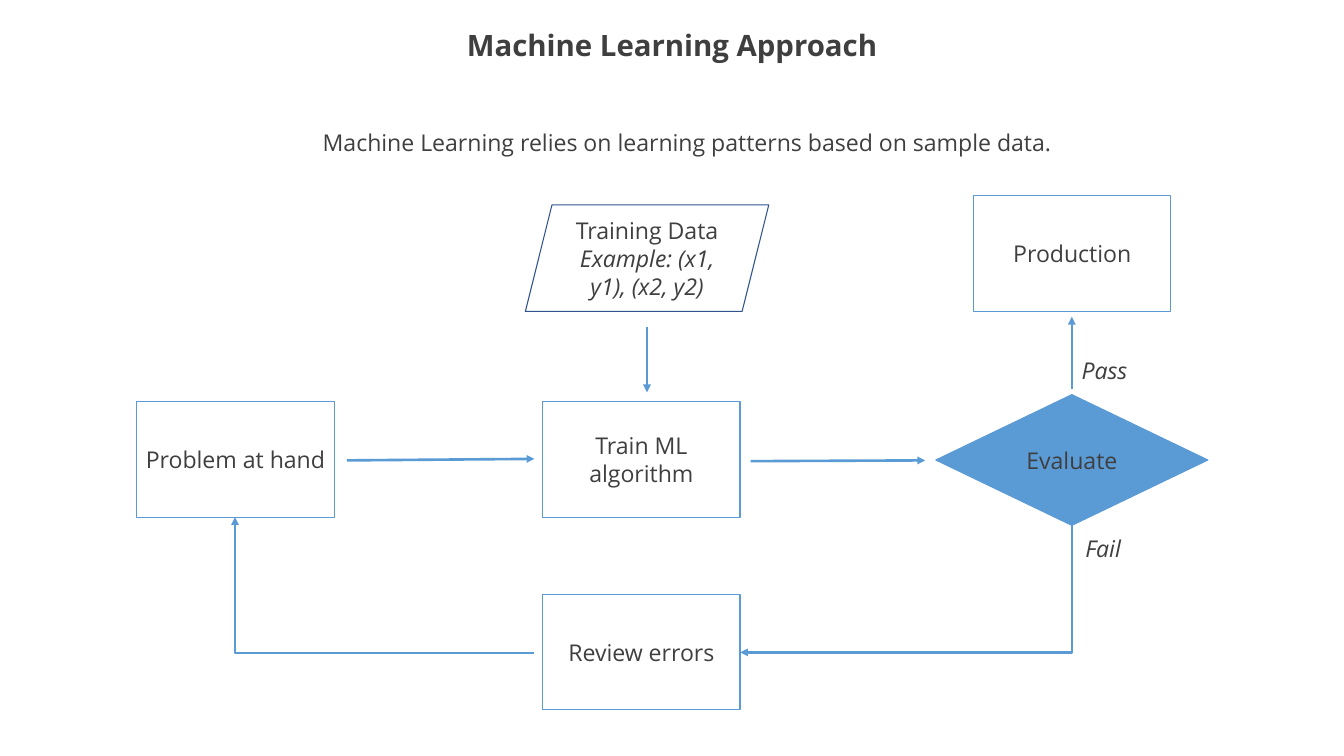
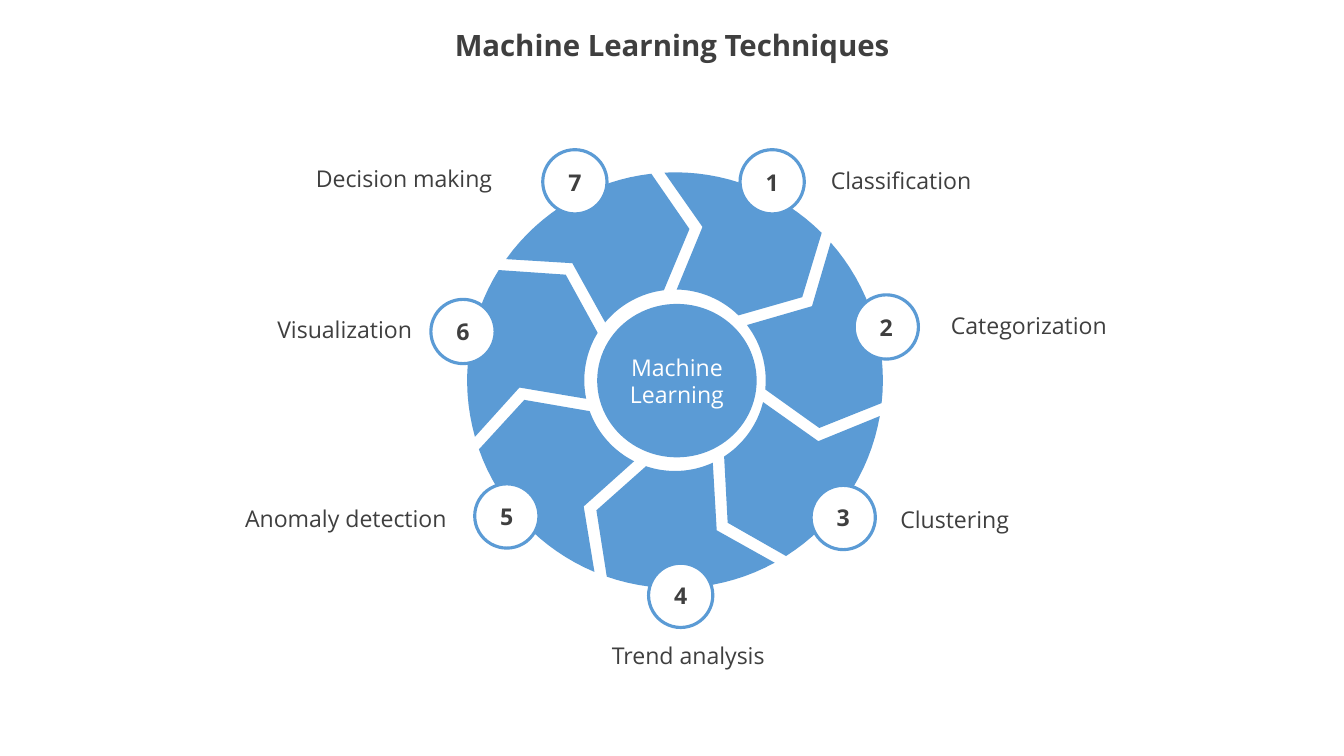
from math import cos, radians, sin

from lxml.etree import SubElement
from pptx import Presentation
from pptx.dml.color import RGBColor
from pptx.enum.shapes import MSO_CONNECTOR, MSO_SHAPE
from pptx.enum.text import MSO_ANCHOR, PP_ALIGN
from pptx.oxml.ns import qn
from pptx.util import Emu, Pt

PX = 9144  # EMU per px, 100 px to the inch
PAGE_WIDTH, PAGE_HEIGHT = 1778, 1000
FONT = "Open Sans"
BODY_SIZE = 22
COLORS = {
    "text": "3F3F3F",
    "blue": "5B9BD5",
    "navy": "31538F",
    "white": "FFFFFF",
}

BOX_SIZE = (261, 153)
BOXES = [
    ("Problem at hand", 181, 531),
    ("Production", 1288, 259),
    ("Review errors", 718, 786),
    ("Train ML algorithm", 718, 531),
]
STRAIGHT_ARROWS = [
    (459, 609, 707, 607),
    (993, 610, 1224, 609),
    (1418, 515, 1418, 419),
    (856, 432, 856, 519),
]

WHEEL_CENTER = (893, 503)
WHEEL_RADIUS, HUB_RADIUS = 275, 120
BLADE_COUNT = 7
ARC_STEPS = 16
BADGE_SIZE = 85
# label, its left, top and width, then left and top of its numbered badge
TECHNIQUES = [
    ("Classification", 1077, 215, 230, 979, 198),
    ("Categorization", 1240, 407, 242, 1130, 390),
    ("Clustering", 1178, 664, 170, 1073, 642),
    ("Trend analysis", 788, 843, 245, 858, 745),
    ("Anomaly detection", 302, 662, 311, 628, 640),
    ("Visualization", 352, 412, 208, 570, 396),
    ("Decision making", 403, 212, 263, 718, 198),
]


def rgb(name):
    return RGBColor.from_string(COLORS[name])


def px(*lengths):
    return [Emu(round(length * PX)) for length in lengths]


def write(shape, text, size=BODY_SIZE, color="text", bold=False, italic=False,
          align=PP_ALIGN.CENTER, anchor=MSO_ANCHOR.MIDDLE):
    frame = shape.text_frame
    frame.word_wrap = True
    frame.vertical_anchor = anchor
    frame.text = text
    for para in frame.paragraphs:
        para.alignment = align
        for span in para.runs:
            span.font.name = FONT
            span.font.size = Pt(size)
            span.font.bold = bold
            span.font.italic = italic
            span.font.color.rgb = rgb(color)


def paint(shape, fill=None, line=None, line_width=1):
    shape.shadow.inherit = False
    if fill:
        shape.fill.solid()
        shape.fill.fore_color.rgb = rgb(fill)
    else:
        shape.fill.background()
    if line:
        shape.line.color.rgb = rgb(line)
        shape.line.width = Pt(line_width)
    else:
        shape.line.fill.background()


def add_figure(page, kind, left, top, width, height, text, fill=None, line=None,
               line_width=1, **text_style):
    """Add a preset shape with centred text."""
    shape = page.shapes.add_shape(kind, *px(left, top, width, height))
    paint(shape, fill, line, line_width)
    write(shape, text, **text_style)
    return shape


def add_label(page, text, left, top, width, **text_style):
    box = page.shapes.add_textbox(*px(left, top, width, 47))
    write(box, text, anchor=MSO_ANCHOR.TOP, **text_style)


def add_arrow(page, begin_x, begin_y, end_x, end_y, bent=False, head="tailEnd"):
    """Add an arrow; a bent one runs level first, then upright."""
    kind = MSO_CONNECTOR.ELBOW if bent else MSO_CONNECTOR.STRAIGHT
    arrow = page.shapes.add_connector(kind, *px(begin_x, begin_y, end_x, end_y))
    arrow.line.color.rgb = rgb("blue")
    arrow.line.width = Pt(2.5)
    properties = arrow._element.spPr
    if bent:
        properties.find(qn("a:prstGeom")).set("prst", "bentConnector2")
    SubElement(properties.find(qn("a:ln")), qn(f"a:{head}"), type="triangle")
    SubElement(properties, qn("a:effectLst"))


def wheel_point(radius, degrees):
    """Return a point around the wheel's centre, in EMU."""
    center_x, center_y = WHEEL_CENTER
    angle = radians(degrees)
    return px(center_x + radius * cos(angle), center_y + radius * sin(angle))


def wheel_arc(radius, start, end):
    step = (end - start) / ARC_STEPS
    return [wheel_point(radius, start + step * i) for i in range(ARC_STEPS + 1)]


def add_blade(page, turn):
    points = [
        *wheel_arc(HUB_RADIUS, turn - 37.5, turn + 5.8),
        wheel_point(201, turn + 18.3),
        *wheel_arc(WHEEL_RADIUS, turn + 6.3, turn - 41.5),
        wheel_point(206, turn - 28.4),
    ]
    builder = page.shapes.build_freeform(*points[0], scale=1.0)
    builder.add_line_segments(points[1:], close=True)
    paint(builder.convert_to_shape(), fill="blue")


def add_page(deck, title):
    page = deck.slides.add_slide(deck.slide_layouts[6])
    box = page.shapes.add_textbox(*px(0, 25, PAGE_WIDTH, 75))
    write(box, title, size=28, bold=True)
    box.text_frame.paragraphs[0].line_spacing = 0.9
    return page


def add_approach_page(deck):
    page = add_page(deck, "Machine Learning Approach")
    for text, left, top in BOXES:
        add_figure(page, MSO_SHAPE.RECTANGLE, left, top, *BOX_SIZE, text,
                   fill="white", line="blue")
    add_figure(page, MSO_SHAPE.FLOWCHART_DECISION, 1238, 522, 360, 173, "Evaluate",
               fill="blue", line="blue")
    training = add_figure(page, MSO_SHAPE.PARALLELOGRAM, 695, 271, 322, 141,
                          "Training Data\nExample: (x1, y1), (x2, y2)", line="navy")
    training.text_frame.paragraphs[1].runs[0].font.italic = True

    for ends in STRAIGHT_ARROWS:
        add_arrow(page, *ends)
    add_arrow(page, 707, 864, 311, 684, bent=True)
    add_arrow(page, 979, 863, 1418, 695, bent=True, head="headEnd")

    add_label(page, "Pass", 1421, 467, 123, italic=True, align=PP_ALIGN.LEFT)
    add_label(page, "Fail", 1426, 702, 123, italic=True, align=PP_ALIGN.LEFT)
    add_label(page, "Machine Learning relies on learning patterns based on sample data.",
              417, 165, 1132, align=PP_ALIGN.LEFT)


def add_techniques_page(deck):
    page = add_page(deck, "Machine Learning Techniques")
    for blade in range(BLADE_COUNT):
        add_blade(page, blade * 360 / BLADE_COUNT)
    add_figure(page, MSO_SHAPE.OVAL, 790, 402, 211, 203, "Machine Learning",
               fill="blue", color="white")
    for number, technique in enumerate(TECHNIQUES, start=1):
        label, left, top, width, badge_left, badge_top = technique
        add_label(page, label, left, top, width)
        add_figure(page, MSO_SHAPE.OVAL, badge_left, badge_top, BADGE_SIZE, BADGE_SIZE,
                   str(number), fill="white", line="blue", line_width=3, bold=True)


def main():
    deck = Presentation()
    deck.slide_width, deck.slide_height = px(PAGE_WIDTH, PAGE_HEIGHT)
    add_approach_page(deck)
    add_techniques_page(deck)
    deck.save("out.pptx")


if __name__ == "__main__":
    main()
